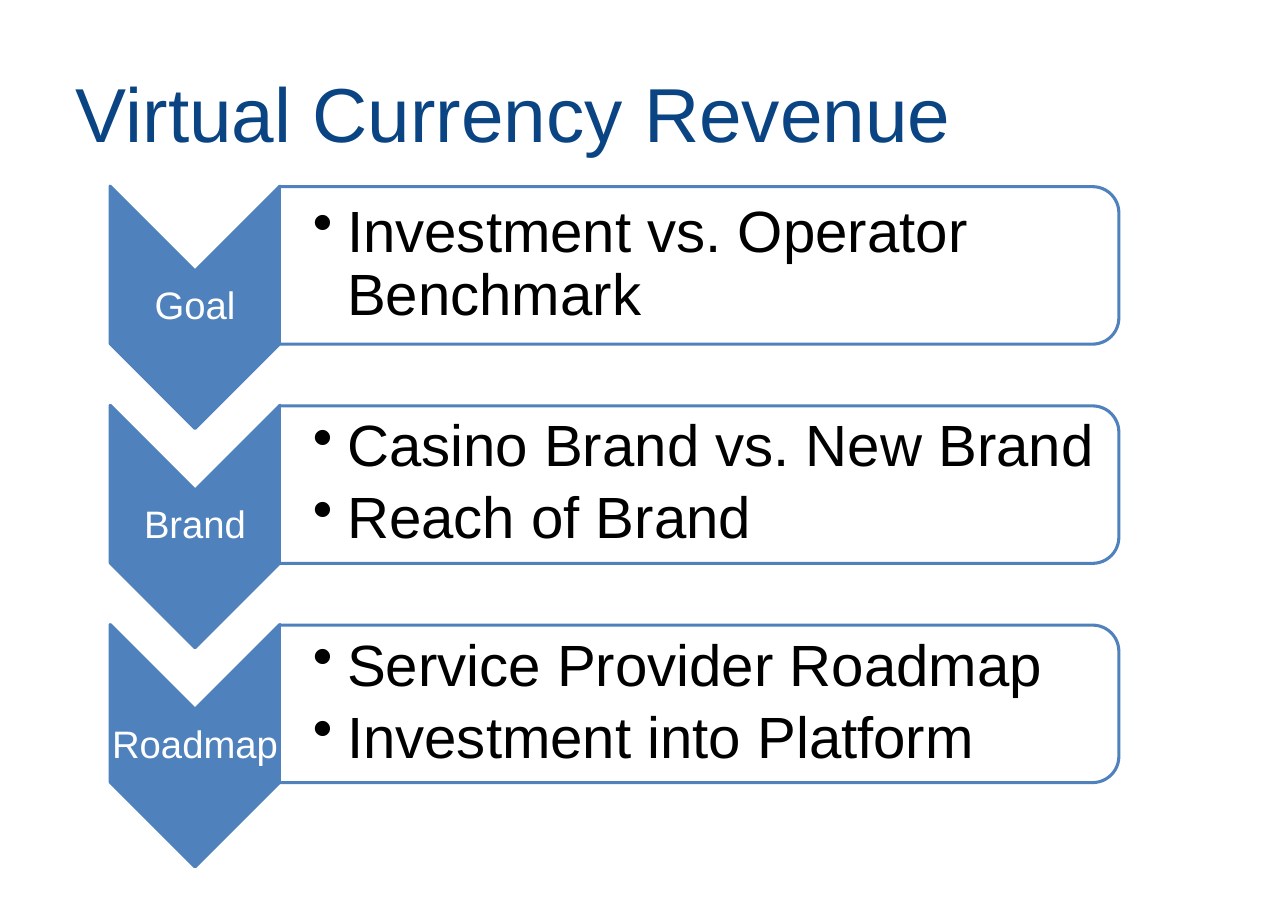
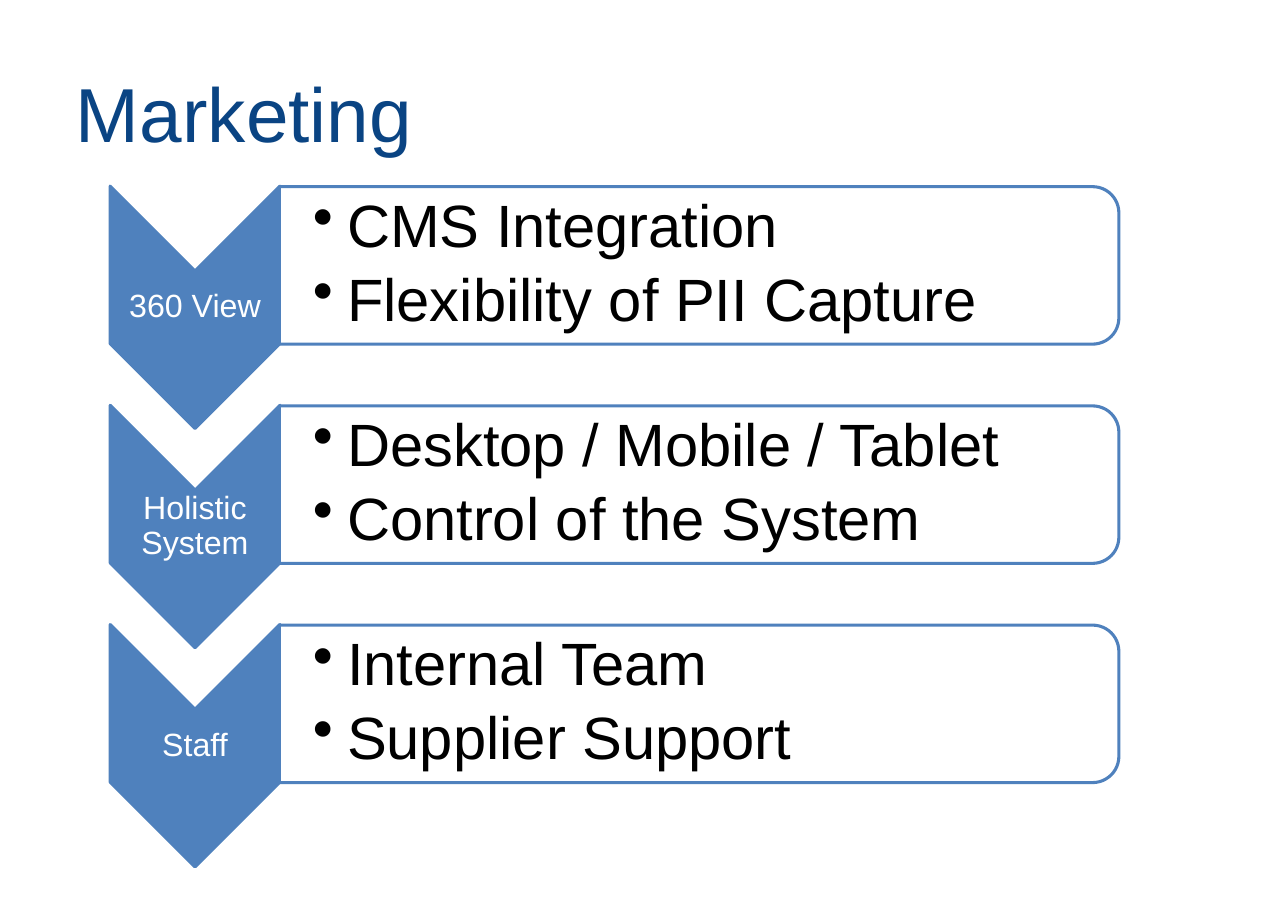
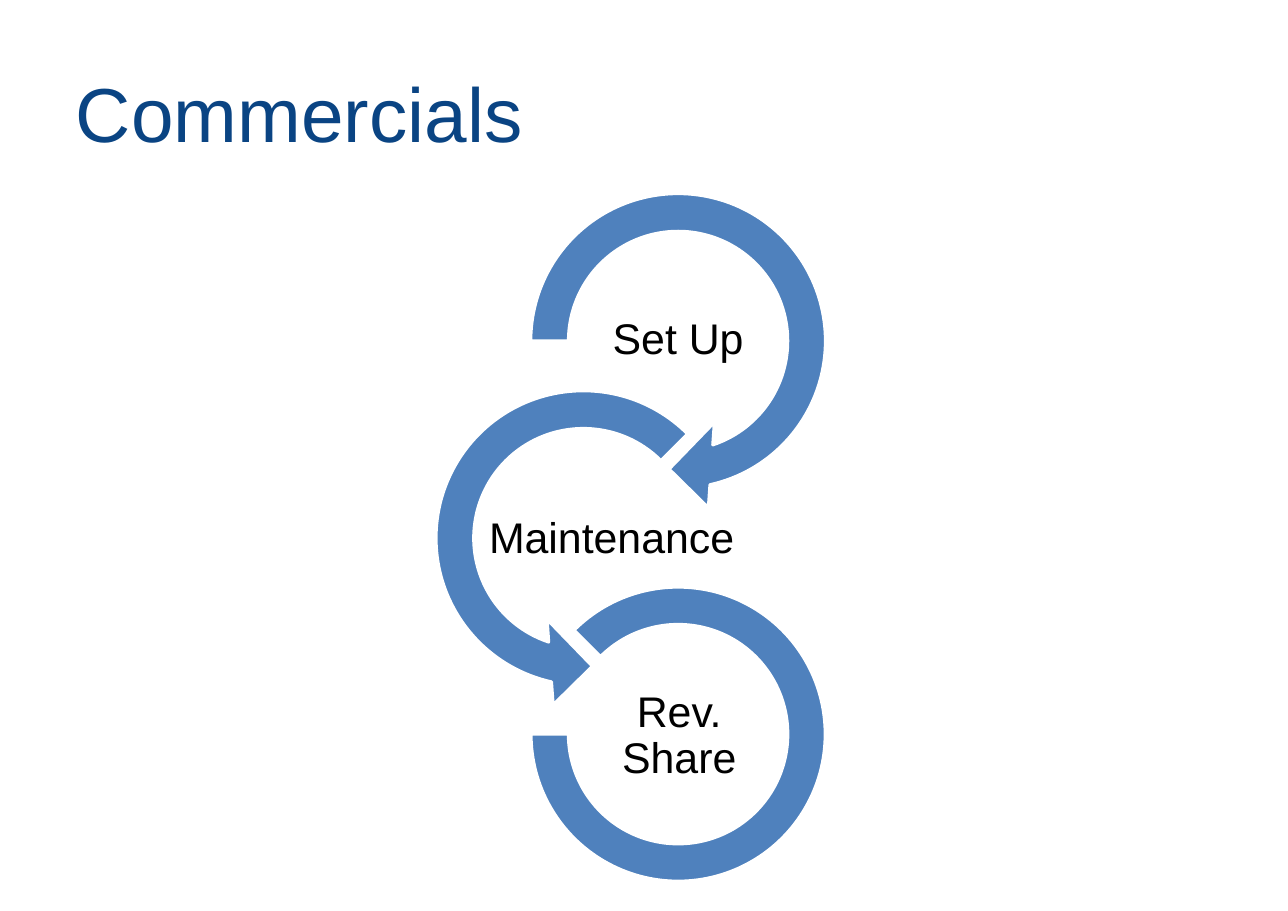
from lxml.etree import SubElement
from pptx import Presentation
from pptx.dml.color import RGBColor
from pptx.enum.shapes import MSO_SHAPE as Preset
from pptx.enum.text import MSO_ANCHOR as Anchor, MSO_AUTO_SIZE as AutoSize, PP_ALIGN as Align
from pptx.oxml.ns import qn
from pptx.util import Pt

PX = 9144  # EMU in one px, 100 px to the inch
FONT = "Arial"
NAVY, BLUE, WHITE, BLACK = "0A4483", "4F81BD", "FFFFFF", "000000"
ROW_PITCH = 199
BULLET_INDENT = 31


def add_shape(slide, preset, frame, fill, line, rotation=0, adjustments=()):
    shape = slide.shapes.add_shape(preset, *[length * PX for length in frame])
    shape.shadow.inherit = False
    shape.rotation = rotation
    shape.fill.solid()
    shape.fill.fore_color.rgb = RGBColor.from_string(fill)
    shape.line.color.rgb = RGBColor.from_string(line)
    shape.line.width = Pt(2)
    for index, value in enumerate(adjustments):
        shape.adjustments[index] = value


def write_text(shape, lines, size, color, insets, align=Align.LEFT, spacing=0.9, bullets=False):
    """Fill a shape with one paragraph per line; insets are left, top, right, bottom."""
    frame = shape.text_frame
    frame.word_wrap = True
    frame.auto_size = AutoSize.NONE
    frame.vertical_anchor = Anchor.MIDDLE
    frame.margin_left, frame.margin_top, frame.margin_right, frame.margin_bottom = [
        inset * PX for inset in insets]
    frame.text = "\n".join(lines)
    for paragraph in frame.paragraphs:
        paragraph.alignment = align
        paragraph.line_spacing = spacing
        if bullets:
            properties = paragraph._p.get_or_add_pPr()
            properties.set("marL", str(BULLET_INDENT * PX))
            properties.set("indent", str(-BULLET_INDENT * PX))
            SubElement(properties, qn("a:buChar"), char="•")
        paragraph.font.name = FONT
        paragraph.font.size = Pt(size)
        paragraph.font.color.rgb = RGBColor.from_string(color)
    for paragraph in frame.paragraphs[:-1]:
        paragraph.space_after = Pt(6)


presentation = Presentation()
presentation.slide_width, presentation.slide_height = 1169 * PX, 827 * PX
title_only = presentation.slide_layouts[5]

slides = []
for heading in ("Virtual Currency Revenue", "Marketing", "Commercials"):
    slide = presentation.slides.add_slide(title_only)
    title = slide.shapes.title
    title.left, title.top, title.width, title.height = 58 * PX, 33 * PX, 1052 * PX, 138 * PX
    write_text(title, [heading], 50, NAVY, (11, 6, 11, 6), spacing=1.0)
    slides.append(slide)
revenue, marketing, commercials = slides

# Chevron lists: slide, label size, list size, rows
chevron_lists = [
    (revenue, 25, 38, [
        ("Goal", ["Investment vs. Operator Benchmark"]),
        ("Brand", ["Casino Brand vs. New Brand", "Reach of Brand"]),
        ("Roadmap", ["Service Provider Roadmap", "Investment into Platform"]),
    ]),
    (marketing, 21, 39, [
        ("360 View", ["CMS Integration", "Flexibility of PII Capture"]),
        ("Holistic System", ["Desktop / Mobile / Tablet", "Control of the System"]),
        ("Staff", ["Internal Team", "Supplier Support"]),
    ]),
]
for slide, label_size, list_size, rows in chevron_lists:
    for row, (label, items) in enumerate(rows):
        offset = row * ROW_PITCH
        add_shape(slide, Preset.CHEVRON, (67, 202 + offset, 220, 154), BLUE, BLUE, rotation=90)
        label_box = slide.shapes.add_textbox(100 * PX, (246 + offset) * PX, 154 * PX, 66 * PX)
        write_text(label_box, [label], label_size, WHITE, (1, 1, 1, 1), Align.CENTER)
        add_shape(slide, Preset.ROUND_2_SAME_RECTANGLE, (563, -140 + offset, 143, 762),
                  WHITE, BLUE, rotation=90)
        list_box = slide.shapes.add_textbox(254 * PX, (176 + offset) * PX, 755 * PX, 129 * PX)
        write_text(list_box, items, list_size, BLACK, (30, 3, 3, 3), bullets=True)

# Chain of arrows: preset, frame, adjustments, label, label frame
arrow_chain = [
    (Preset.CIRCULAR_ARROW, (460, 154, 311, 311), (0.11, 11.42, 45, 108, 0.125),
     "Set Up", (529, 266, 173, 86)),
    (Preset.LEFT_CIRCULAR_ARROW, (374, 333, 311, 311), (0.11, 11.42, 63, 189, 0.125),
     "Maintenance", (379, 447, 352, 86)),
    (Preset.BLOCK_ARC, (482, 533, 267, 267), (135, 108, 0.127),
     "Rev. Share", (530, 626, 173, 86)),
]
for preset, frame, adjustments, label, label_frame in arrow_chain:
    add_shape(commercials, preset, frame, BLUE, WHITE, adjustments=adjustments)
    label_box = commercials.shapes.add_textbox(*[length * PX for length in label_frame])
    write_text(label_box, [label], 28, BLACK, (2, 2, 2, 2), Align.CENTER)

presentation.save("out.pptx")
